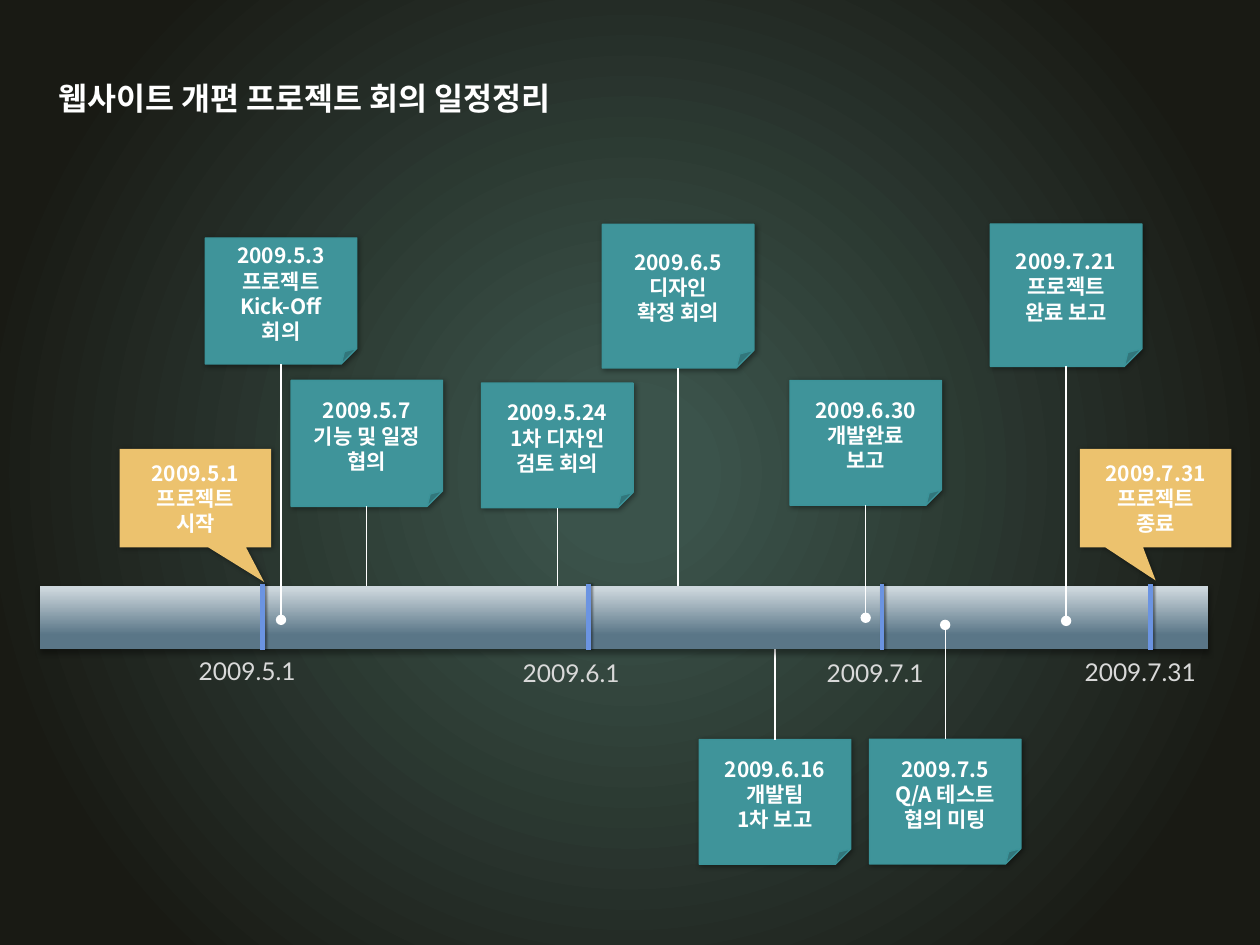
from lxml import etree
from pptx import Presentation
from pptx.dml.color import RGBColor
from pptx.enum import shapes as kinds, text as txt
from pptx.oxml import ns
from pptx.util import Pt

# Content: lengths in points
KOREAN, LATIN = "Noto Sans CJK KR", "Lato"
TITLE = "웹사이트 개편 프로젝트 회의 일정정리"

# Meetings: lines, left, top, height, end of the pin on the timeline
MEETINGS_BEHIND = [
    (["2009.5.7", "기능 및 일정", "협의"], 166.3, 217.4, 72, 354.2),
    (["2009.5.24", "1차 디자인", "검토 회의"], 275.2, 218.9, 71.3, 355),
    (["2009.6.5", "디자인", "확정 회의"], 344.2, 128.2, 82.1, 355),
    (["2009.6.16", "개발팀", "1차 보고"], 399.6, 422.6, 71.3, 357.8),
]
MEETINGS_FRONT = [
    (["2009.5.3", "프로젝트", "Kick-Off", "회의"], 117.3, 136, 72, 354.2),
    (["2009.7.5", "Q/A 테스트", "협의 미팅"], 496.8, 422.4, 71.3, 357.1),
    (["2009.7.21", "프로젝트", "완료 보고"], 565.9, 128, 81.4, 354.8),
    (["2009.6.30", "개발완료", "보고"], 451.4, 217.4, 71.3, 353),
]
# Milestones: date, tick x, label left, label top
MILESTONES = [
    ("2009.5.1", 150, 106.5, 371.4),
    ("2009.6.1", 336.2, 291.6, 372.4),
    ("2009.7.1", 504, 465.3, 372.4),
    ("2009.7.31", 657.4, 612.7, 371.9),
]
# Callouts: lines, left, pointer offset
CALLOUTS = [
    (["2009.5.1", "프로젝트", "시작"], 68.4, (0.453, 0.852)),
    (["2009.7.31", "프로젝트", "종료"], 617.1, (0, 0.838)),
]
BAND_TOP, BAND_HEIGHT = 334.8, 36.4
NOTE_WIDTH = 86.6


def color(hex_string):
    return RGBColor.from_string(hex_string)


def child(parent, tag, **attributes):
    return etree.SubElement(parent, ns.qn(tag), attributes)


def write(frame, lines, size=12, font=KOREAN, ink="FFFFFF", bold=True,
          align=txt.PP_ALIGN.CENTER, anchor=txt.MSO_ANCHOR.MIDDLE):
    frame.word_wrap = True
    frame.vertical_anchor = anchor
    for i, line in enumerate(lines):
        paragraph = frame.paragraphs[0] if i == 0 else frame.add_paragraph()
        paragraph.alignment = align
        run = paragraph.add_run()
        run.text = line
        run.font.size, run.font.bold, run.font.name = Pt(size), bold, font
        run.font.color.rgb = color(ink)
        child(run.font._element, "a:ea", typeface=font)


def set_shadow(item, alpha=None, blur=3, distance=1, angle=45):
    """Replace the theme shadow; without alpha there is none."""
    effects = child(item._element.spPr, "a:effectLst")
    if alpha:
        outer = child(effects, "a:outerShdw", blurRad=str(Pt(blur)), dist=str(Pt(distance)),
                      dir=str(angle * 60000), algn="ctr", rotWithShape="0")
        child(child(outer, "a:srgbClr", val="000000"), "a:alpha", val=str(alpha * 1000))


def set_gradient(fill, stops, angle=0):
    fill.gradient()
    fill.gradient_angle = angle
    for stop, (position, hex_string) in zip(fill.gradient_stops, stops):
        stop.position = position
        stop.color.rgb = color(hex_string)


def add_line(parent, x, start, end, ink, width):
    line = parent.add_connector(kinds.MSO_CONNECTOR.STRAIGHT, Pt(x), Pt(start), Pt(x), Pt(end))
    line.line.color.rgb, line.line.width = color(ink), Pt(width)
    return line


def add_box(parent, kind, left, top, width, height, fill=None, edge=None):
    box = parent.add_shape(kind, Pt(left), Pt(top), Pt(width), Pt(height))
    if fill:
        box.fill.solid()
        box.fill.fore_color.rgb = color(fill)
    if edge:
        box.line.color.rgb, box.line.width = color(edge), Pt(0.75)
    else:
        box.line.fill.background()
    return box


def add_meeting(parent, lines, left, top, height, pin_end):
    note = add_box(parent, kinds.MSO_SHAPE.FOLDED_CORNER, left, top, NOTE_WIDTH, height,
                   "3F949A", "3B9399")
    # The fold size has no entry in note.adjustments
    fold = note._element.spPr.find(".//" + ns.qn("a:avLst"))
    child(fold, "a:gd", name="adj", fmla="val 12300")
    set_shadow(note, 40)
    write(note.text_frame, lines)
    above = top < BAND_TOP
    pin = add_line(parent, left + NOTE_WIDTH / 2, top + height if above else top, pin_end,
                   "FFFFFF", 0.75)
    pin.begin_connect(note, 2 if above else 0)
    child(pin.line._ln, "a:tailEnd", type="oval")
    set_shadow(pin)


prs = Presentation()
prs.slide_width, prs.slide_height = Pt(720), Pt(540)
slide = prs.slides.add_slide(prs.slide_layouts[5])

# Background: gradient circling out from the centre
set_gradient(slide.background.fill, [(0.09, "3B534B"), (0.84, "191A14")])
linear = slide.element.find(".//" + ns.qn("a:lin"))
circle = etree.Element(ns.qn("a:path"), {"path": "circle"})
child(circle, "a:fillToRect", l="50000", t="50000", r="50000", b="50000")
linear.getparent().replace(linear, circle)

# Title
title = slide.shapes.title
title.left, title.top, title.width, title.height = Pt(26), Pt(41.8), Pt(341), Pt(29)
write(title.text_frame, [TITLE], size=18, align=txt.PP_ALIGN.LEFT, anchor=txt.MSO_ANCHOR.TOP)

# Meetings whose pins end behind the band
for meeting in MEETINGS_BEHIND:
    add_meeting(slide.shapes, *meeting)

# Timeline: band, ticks and dates
timeline = slide.shapes.add_group_shape().shapes
band = add_box(timeline, kinds.MSO_SHAPE.RECTANGLE, 22.7, BAND_TOP, 667.5, BAND_HEIGHT)
set_gradient(band.fill, [(0.04, "CDD7DD"), (0.77, "5A7687")], angle=270)
set_shadow(band, 35, 3.1, 1.8, 90)
for date, x, left, top in MILESTONES:
    tick = add_line(timeline, x, BAND_TOP - 1, BAND_TOP + BAND_HEIGHT, "6B94E2", 2.75)
    set_shadow(tick, 40, 1, 1, 0)
    label = timeline.add_textbox(Pt(left), Pt(top), Pt(80), Pt(24.3))
    write(label.text_frame, [date], size=14, font=LATIN, ink="D9D9D9", bold=False,
          align=txt.PP_ALIGN.LEFT, anchor=txt.MSO_ANCHOR.TOP)

# Meetings whose pins lie over the band
for meeting in MEETINGS_FRONT:
    add_meeting(slide.shapes, *meeting)

# Callouts for start and end
for lines, left, pointer in CALLOUTS:
    callout = add_box(slide.shapes, kinds.MSO_SHAPE.RECTANGULAR_CALLOUT, left, 256.5,
                      NOTE_WIDTH, 56.2, "ECC26E")
    callout.adjustments[0], callout.adjustments[1] = pointer
    set_shadow(callout, 40)
    write(callout.text_frame, lines)

prs.save("out.pptx")
